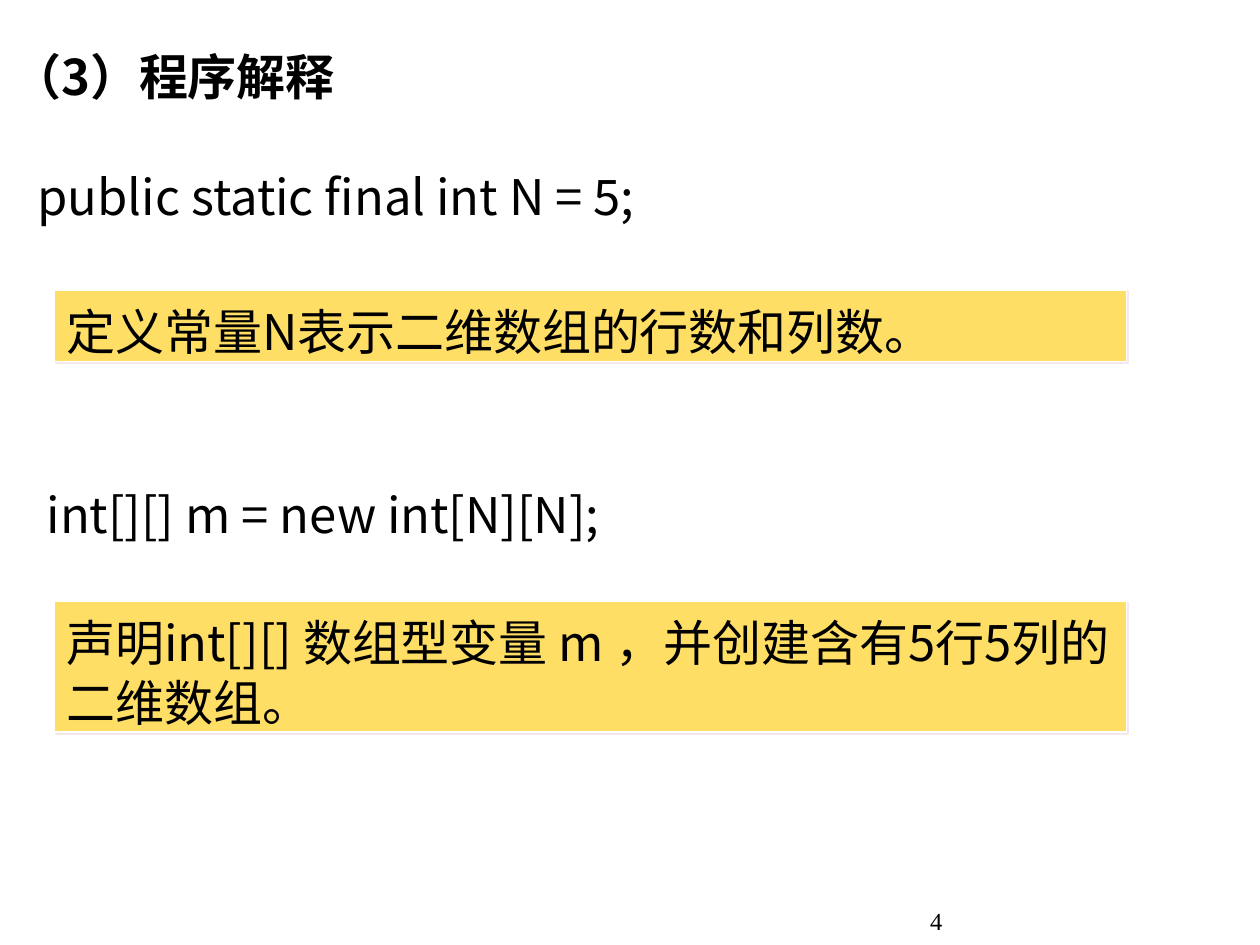
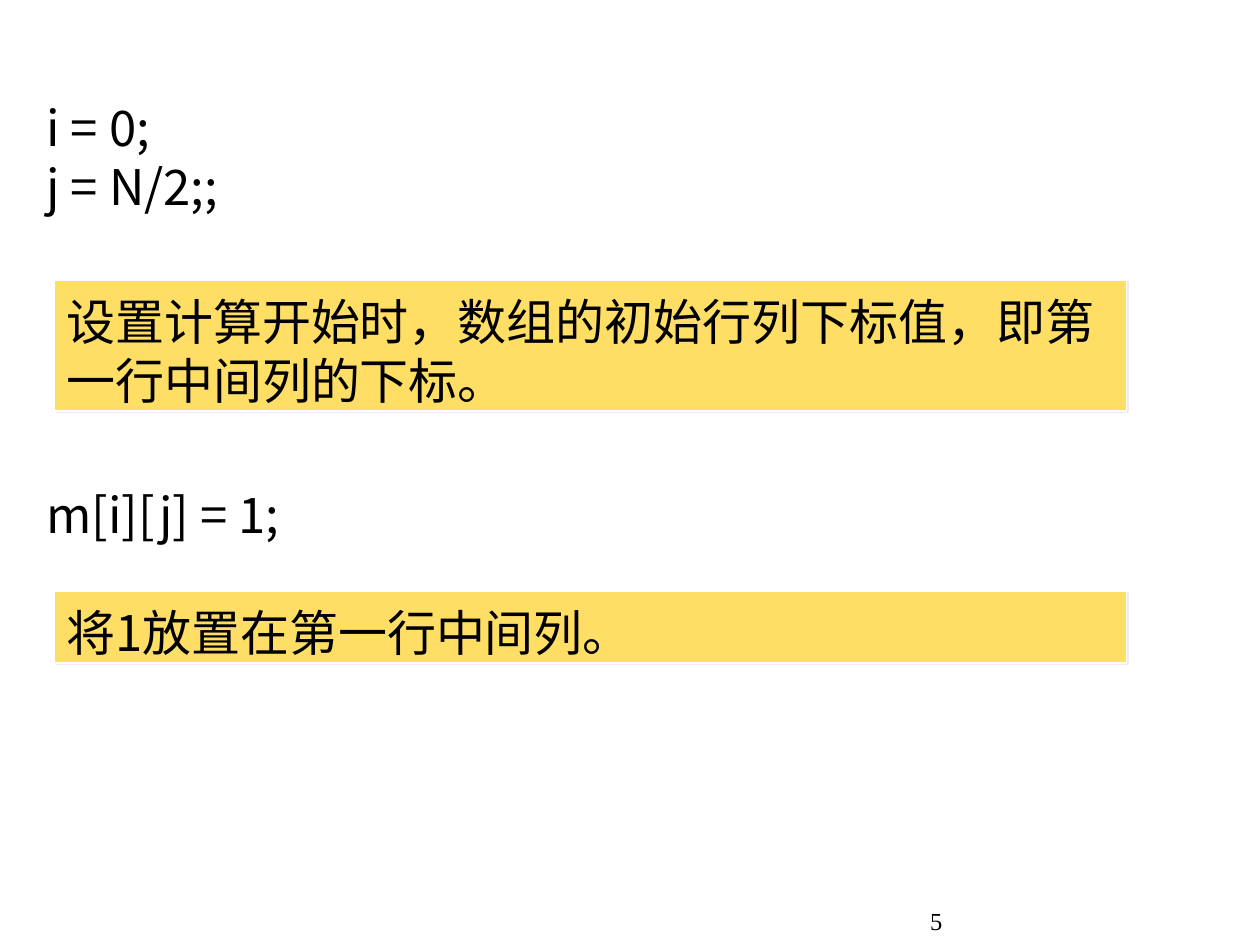
"""Builds two slides that explain the lines of a magic square program."""
import pptx
import pptx.util
import pptx.dml.color
import pptx.enum.shapes
import pptx.enum.text
import lxml.etree
from pptx.util import Cm, Pt

SANS = "Noto Sans CJK SC"
SERIF = "Times New Roman"
BLACK, WHITE, GOLD, PINK = "000000", "FFFFFF", "FFDE66", "F4E7ED"
LEAD = 33.8
SHADE = (
    '<a:effectLst xmlns:a="http://schemas.openxmlformats.org/drawingml/2006/main">'
    '<a:outerShdw dist="17780" dir="2700000" algn="ctr" rotWithShape="0">'
    f'<a:srgbClr val="{PINK}"/></a:outerShdw></a:effectLst>'
)


def tint(code):
    return pptx.dml.color.RGBColor.from_string(code)


def write(shape, text, bold=False):
    frame = shape.text_frame
    frame.word_wrap = True
    frame.vertical_anchor = pptx.enum.text.MSO_ANCHOR.TOP
    frame.margin_left = frame.margin_right = Cm(0.25)
    frame.margin_top, frame.margin_bottom = Cm(0.23), Cm(0.03)
    for i, line in enumerate(text.split("\n")):
        par = frame.paragraphs[0] if i == 0 else frame.add_paragraph()
        par.text = line
        par.alignment = pptx.enum.text.PP_ALIGN.LEFT
        par.line_spacing = Pt(LEAD)
        par.font.name, par.font.size = SANS, Pt(28)
        par.font.bold = bold
        par.font.color.rgb = tint(BLACK)
        for run in par.runs:
            props = run.font._element if hasattr(run.font, "_element") else run._r.get_or_add_rPr()
            for tag in ("latin", "ea"):
                face = lxml.etree.SubElement(props, pptx.oxml.ns.qn("a:" + tag))
                face.set("typeface", SANS)


pages = [
    {
        "num": "4",
        "code": [
            (0, 0.71, 12.5, 1, "（3）程序解释", True),
            (0.51, 3.12, 17.5, 2, "public static final int N = 5;", False),
            (0.69, 9.53, 17.5, 1, "int[][] m = new int[N][N];", False),
        ],
        "notes": [
            (5.84, 1, "定义常量N表示二维数组的行数和列数。"),
            (12.12, 2, "声明int[][] 数组型变量 m ，并创建含有5行5列的二维数组。"),
        ],
    },
    {
        "num": "5",
        "code": [
            (0.69, 1.73, 12.7, 2, "i = 0;\nj = N/2;;", False),
            (0.69, 9.53, 12.7, 1, "m[i][j] = 1;", False),
        ],
        "notes": [
            (5.64, 2, "设置计算开始时，数组的初始行列下标值，即第一行中间列的下标。"),
            (11.91, 1, "将1放置在第一行中间列。"),
        ],
    },
]
tall = {1: Cm(1.45), 2: Cm(2.64)}

deck = pptx.Presentation()
deck.slide_width, deck.slide_height = Cm(25.4), Cm(19.05)

for page in pages:
    slide = deck.slides.add_slide(deck.slide_layouts[6])
    slide.background.fill.solid()
    slide.background.fill.fore_color.rgb = tint(WHITE)

    foot = slide.shapes.add_textbox(Cm(17.37), Cm(18.21), Cm(1.63), Cm(0.64))
    frame = foot.text_frame
    frame.word_wrap = True
    frame.vertical_anchor = pptx.enum.text.MSO_ANCHOR.BOTTOM
    frame.margin_left = frame.margin_right = frame.margin_top = frame.margin_bottom = 0
    par = frame.paragraphs[0]
    par.text = page["num"]
    par.alignment = pptx.enum.text.PP_ALIGN.RIGHT
    par.font.name, par.font.size = SERIF, Pt(14)
    par.font.color.rgb = tint(BLACK)

    for left, top, width, rows, text, bold in page["code"]:
        box = slide.shapes.add_textbox(Cm(left), Cm(top), Cm(width), tall[rows])
        write(box, text, bold)

    for top, rows, text in page["notes"]:
        note = slide.shapes.add_shape(
            pptx.enum.shapes.MSO_SHAPE.RECTANGLE, Cm(1.09), Cm(top), Cm(21.62), tall[rows]
        )
        note.fill.solid()
        note.fill.fore_color.rgb = tint(GOLD)
        note.line.color.rgb = tint(WHITE)
        note.line.width = Pt(1)
        note._element.spPr.append(lxml.etree.fromstring(SHADE))
        write(note, text)

deck.save("out.pptx")
